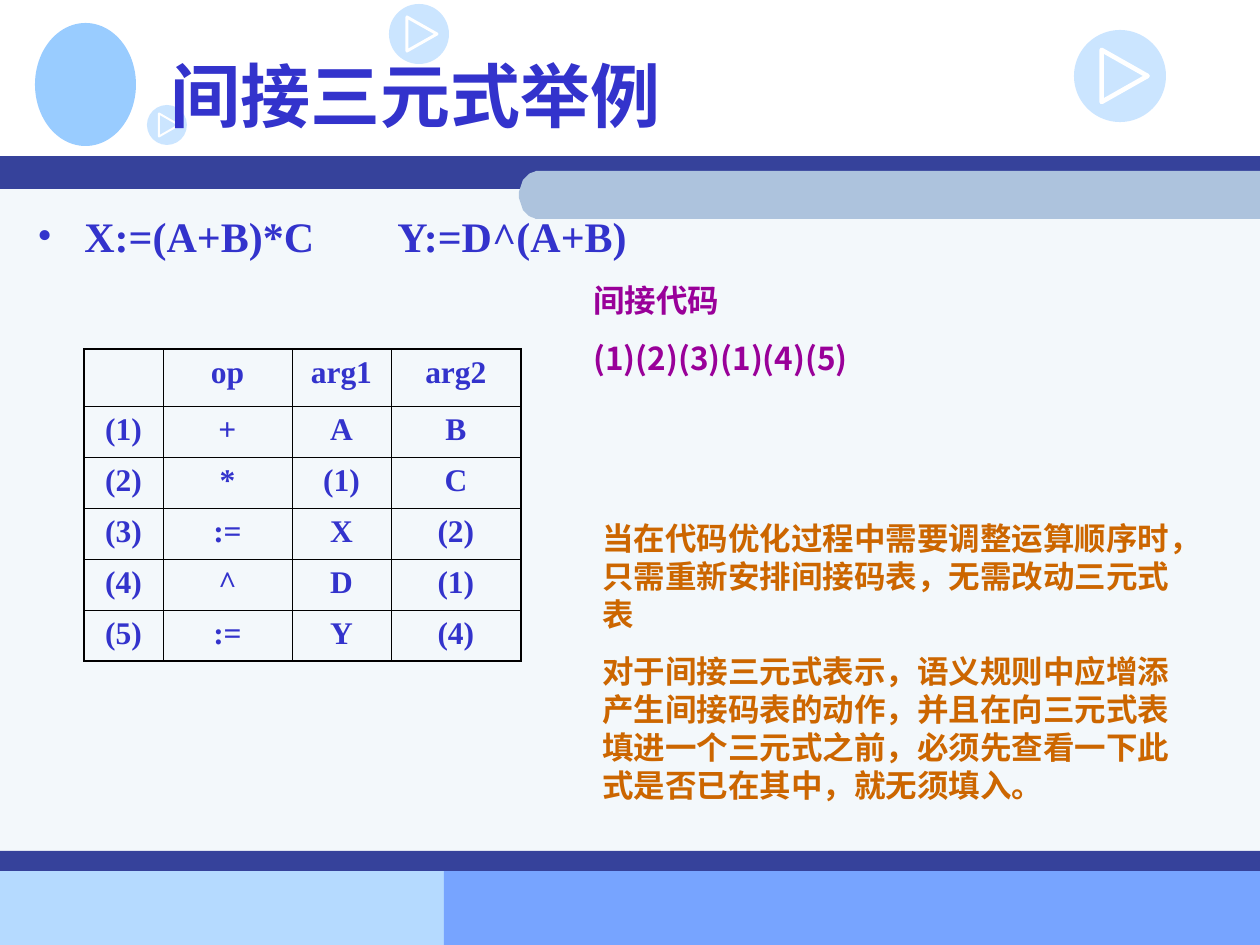
from math import cos, pi, sin

from lxml.etree import SubElement
from pptx import Presentation
from pptx.dml.color import RGBColor
from pptx.enum.shapes import MSO_SHAPE as SHAPE
from pptx.enum.text import MSO_ANCHOR as ANCHOR, PP_ALIGN as ALIGN
from pptx.oxml.ns import qn
from pptx.util import Pt

PX = 914400 / 126
COLORS = {
    "ink": "3333CC", "navy": "36429B", "panel": "F3F8FB", "tab": "ADC3DD",
    "sky": "B5DAFF", "blue": "77A4FF", "pale": "99CCFF", "white": "FFFFFF",
    "purple": "990099", "orange": "CC6600", "black": "000000",
}
HAN, ROMAN = "Noto Sans CJK SC", "Times New Roman"


def add_filled(kind, box, color):
    shape = slide.shapes.add_shape(kind, *[round(n * PX) for n in box])
    shape.shadow.inherit = False
    shape.fill.solid()
    shape.fill.fore_color.rgb = RGBColor.from_string(COLORS[color])
    shape.line.fill.background()
    return shape


def style(paragraph, size, face, color):
    font = paragraph.font
    font.size, font.name, font.bold = Pt(size), face, True
    font.color.rgb = RGBColor.from_string(COLORS[color])
    east_asian = SubElement(paragraph._p.pPr.find(qn("a:defRPr")), qn("a:ea"))
    east_asian.set("typeface", face)


prs = Presentation()
prs.slide_width, prs.slide_height = round(1260 * PX), round(945 * PX)
slide = prs.slides.add_slide(prs.slide_layouts[5])

for box, color in [
    ((0, 871, 444, 74), "sky"),
    ((444, 871, 816, 74), "blue"),
    ((0, 176, 1260, 695), "panel"),
    ((0, 156, 1260, 33), "navy"),
    ((0, 851, 1260, 20), "navy"),
]:
    add_filled(SHAPE.RECTANGLE, box, color)

arc = [(539 - 20 * sin(pi * i / 24), 195 - 24 * cos(pi * i / 24)) for i in range(25)]
outline = slide.shapes.build_freeform(1260, 171, scale=PX)
outline.add_line_segments(arc + [(1260, 219)])
band = outline.convert_to_shape()
band.shadow.inherit = False
band.fill.solid()
band.fill.fore_color.rgb = RGBColor.from_string(COLORS["tab"])
band.line.fill.background()

add_filled(SHAPE.OVAL, (35, 23, 101, 123), "pale")

for left, top, size in [(389, 4, 60), (1074, 30, 92), (147, 105, 40)]:
    disc = add_filled(SHAPE.OVAL, (left, top, size, size), "pale")
    tint = disc.fill._xPr.find(qn("a:solidFill"))[0]
    SubElement(tint, qn("a:alpha")).set("val", "50000")
    base, height = round(size * 0.57), round(size * 0.5)
    middle = left + size * 0.55
    play = add_filled(SHAPE.ISOSCELES_TRIANGLE,
                      (middle - base / 2, top + (size - height) / 2, base, height), "white")
    play.rotation = 90
    play.fill.background()
    play.line.color.rgb = RGBColor.from_string(COLORS["white"])
    play.line.width = round(size * 0.05 * PX)
    SubElement(play.line._ln, qn("a:round"))

title = slide.shapes.title
title.left, title.top, title.width, title.height = [round(n * PX) for n in (158, 21, 1071, 147)]
title.text_frame.text = "间接三元式举例"
title.text_frame.vertical_anchor = ANCHOR.MIDDLE
heading = title.text_frame.paragraphs[0]
heading.alignment = ALIGN.LEFT
style(heading, 40, HAN, "ink")
slide.shapes._spTree.append(title._element)

for box, lines, size, face, color in [
    ((25, 204, 1211, 60), ["X:=(A+B)*C\tY:=D^(A+B)"], 24, ROMAN, "ink"),
    ((581, 275, 358, 108), ["间接代码", "(1)(2)(3)(1)(4)(5)"], 18, HAN, "purple"),
    ((590, 513, 615, 297), [
        "当在代码优化过程中需要调整运算顺序时，只需重新安排间接码表，无需改动三元式表",
        "对于间接三元式表示，语义规则中应增添产生间接码表的动作，并且在向三元式表填进"
        "一个三元式之前，必须先查看一下此式是否已在其中，就无须填入。",
    ], 18, HAN, "orange"),
]:
    frame = slide.shapes.add_textbox(*[round(n * PX) for n in box]).text_frame
    frame.word_wrap = True
    frame.text = "\n".join(lines)
    for i, paragraph in enumerate(frame.paragraphs):
        if i:
            paragraph.space_before = Pt(11.2)
        if "\t" in paragraph.text:
            props = paragraph._p.get_or_add_pPr()
            props.set("marL", str(round(47 * PX)))
            props.set("indent", str(round(-47 * PX)))
            SubElement(props, qn("a:buFont")).set("typeface", ROMAN)
            SubElement(props, qn("a:buChar")).set("char", "•")
            stop = SubElement(SubElement(props, qn("a:tabLst")), qn("a:tab"))
            stop.set("pos", str(round(360 * PX)))
            stop.set("algn", "l")
        style(paragraph, size, face, color)

triples = [
    ["", "op", "arg1", "arg2"],
    ["(1)", "+", "A", "B"],
    ["(2)", "*", "(1)", "C"],
    ["(3)", ":=", "X", "(2)"],
    ["(4)", "^", "D", "(1)"],
    ["(5)", ":=", "Y", "(4)"],
]
widths = [79, 129, 99, 130]
heights = [57] + [51] * 5
table = slide.shapes.add_table(
    len(heights), len(widths),
    *[round(n * PX) for n in (84, 349, sum(widths), sum(heights))]).table
table.first_row = table.horz_banding = False
for column, width in zip(table.columns, widths):
    column.width = round(width * PX)
for r, (row, height) in enumerate(zip(table.rows, heights)):
    row.height = round(height * PX)
    for c, cell in enumerate(row.cells):
        cell.text = triples[r][c]
        paragraph = cell.text_frame.paragraphs[0]
        paragraph.alignment = ALIGN.CENTER
        style(paragraph, 18, ROMAN, "ink")
        props = cell._tc.get_or_add_tcPr()
        outer = {"lnL": c == 0, "lnR": c == len(widths) - 1,
                 "lnT": r == 0, "lnB": r == len(heights) - 1}
        for side, is_outer in outer.items():
            border = SubElement(props, qn("a:" + side))
            border.set("w", str(Pt(1.08 if is_outer else 0.45)))
            ink = SubElement(SubElement(border, qn("a:solidFill")), qn("a:srgbClr"))
            ink.set("val", COLORS["black"])
        cell.fill.background()

prs.save("out.pptx")
